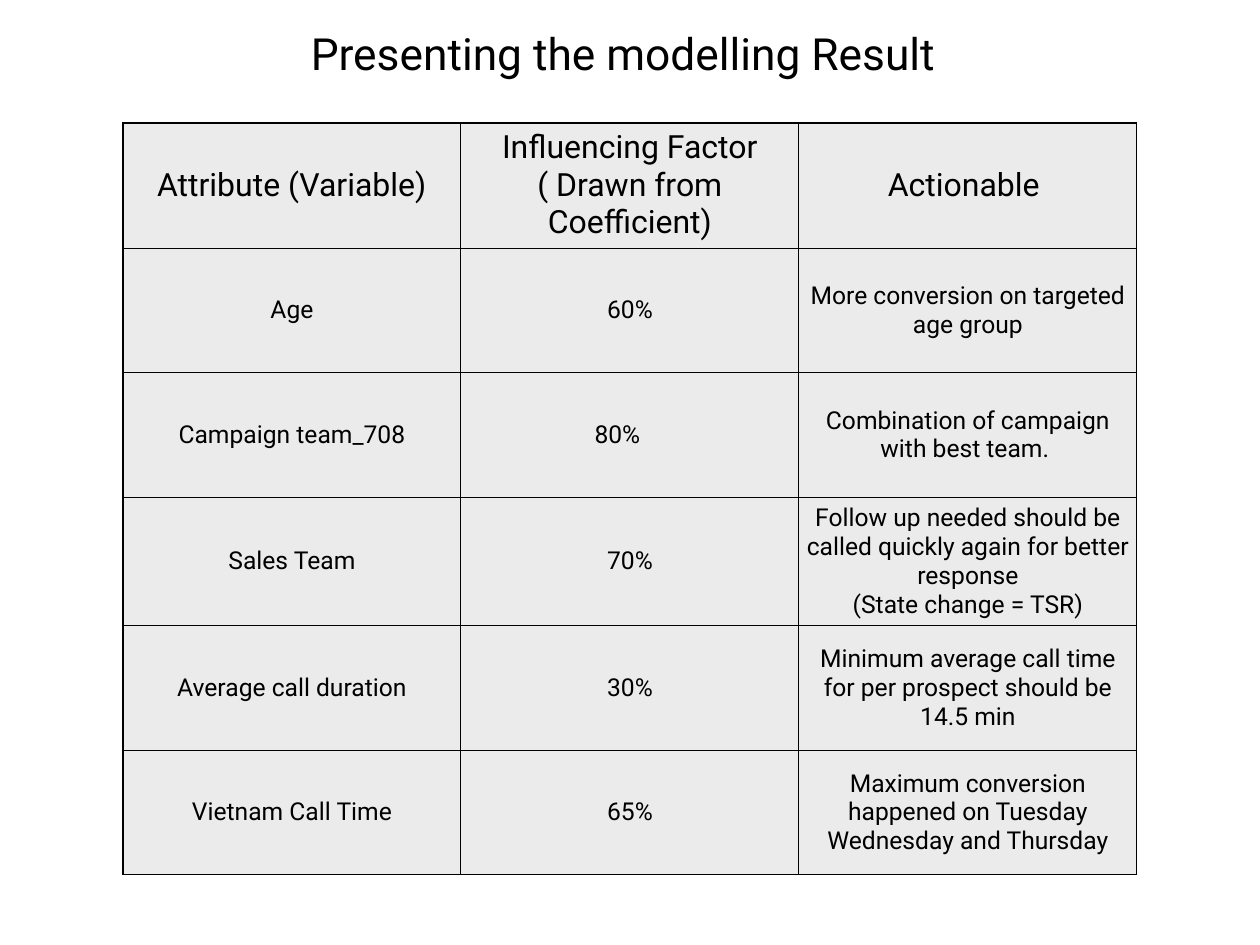
from lxml import etree
from pptx import Presentation
from pptx import util as u
from pptx.dml.color import RGBColor
from pptx.enum import text
from pptx.oxml import ns

PX = u.Inches(1) / 88.6


def px(n):
    """Turn pixels into EMU."""
    return u.Emu(round(n * PX))


def rgb(value):
    """Turn a hex string into a colour."""
    return RGBColor.from_string(value)


class Deck:
    """Hold the style and the current slide."""

    font, ink, fill = "Roboto", "000000", "EBEBEB"
    title_size, head_size, body_size = 36, 26, 20
    inset, border = 5, 1

    def __init__(self, prs):
        """Add a blank slide."""
        self.s = prs.slides.add_slide(prs.slide_layouts[6])

    def style(self, tf, size):
        """Centre the paragraphs and format their runs."""
        for p in tf.paragraphs:
            p.alignment = text.PP_ALIGN.CENTER
            for r in p.runs:
                r.font.name, r.font.size = self.font, u.Pt(size)
                r.font.color.rgb = rgb(self.ink)

    def pad(self, box):
        """Set equal margins and middle anchoring."""
        box.vertical_anchor = text.MSO_ANCHOR.MIDDLE
        box.margin_left = box.margin_right = px(self.inset)
        box.margin_top = box.margin_bottom = px(self.inset)

    def title(self, x, y, w, h, words):
        """Add the centred title."""
        tf = self.s.shapes.add_textbox(px(x), px(y), px(w), px(h)).text_frame
        tf.word_wrap = False
        self.pad(tf)
        tf.text = words
        self.style(tf, self.title_size)

    def outline(self, cell):
        """Draw the four borders of a cell."""
        tcPr = cell._tc.get_or_add_tcPr()
        for i, side in enumerate(("lnL", "lnR", "lnT", "lnB")):
            ln = etree.Element(ns.qn("a:" + side), w=str(u.Pt(self.border)))
            solid = etree.SubElement(ln, ns.qn("a:solidFill"))
            etree.SubElement(solid, ns.qn("a:srgbClr"), val=self.ink)
            tcPr.insert(i, ln)

    def cell(self, cell, words, size):
        """Fill and format one table cell."""
        cell.fill.solid()
        cell.fill.fore_color.rgb = rgb(self.fill)
        self.pad(cell)
        cell.text_frame.text = words
        self.style(cell.text_frame, size)
        self.outline(cell)

    def table(self, x, y, w, h, rows):
        """Add a table with equal columns and rows under a header."""
        shape = self.s.shapes.add_table(len(rows), len(rows[0]), px(x), px(y), px(w), px(h))
        tbl = shape.table
        for i, row in enumerate(rows):
            size = self.body_size if i else self.head_size
            for j, words in enumerate(row):
                self.cell(tbl.cell(i, j), words, size)
        return tbl


prs = Presentation()
prs.slide_width, prs.slide_height = px(1260), px(945)
deck = Deck(prs)
deck.title(304, 21, 638, 63, "Presenting the modelling Result")

results = [
    ("Attribute (Variable)", "Influencing Factor ( Drawn from Coefficient)", "Actionable "),
    ("Age", "60%", "More conversion on targeted age group"),
    ("Campaign team_708", "80%", "Combination of campaign with best team. "),
    ("Sales Team", "70%", "Follow up needed should be called quickly again for better response\n"
     "(State change = TSR)"),
    ("Average call duration", "30%", "Minimum average call time for per prospect should be 14.5 min"),
    ("Vietnam Call Time", "65%", "Maximum conversion happened on Tuesday Wednesday and Thursday"),
]
tbl = deck.table(123, 123, 1014, 748, results)
tbl.cell(2, 1).margin_right = px(30)
prs.save("out.pptx")
